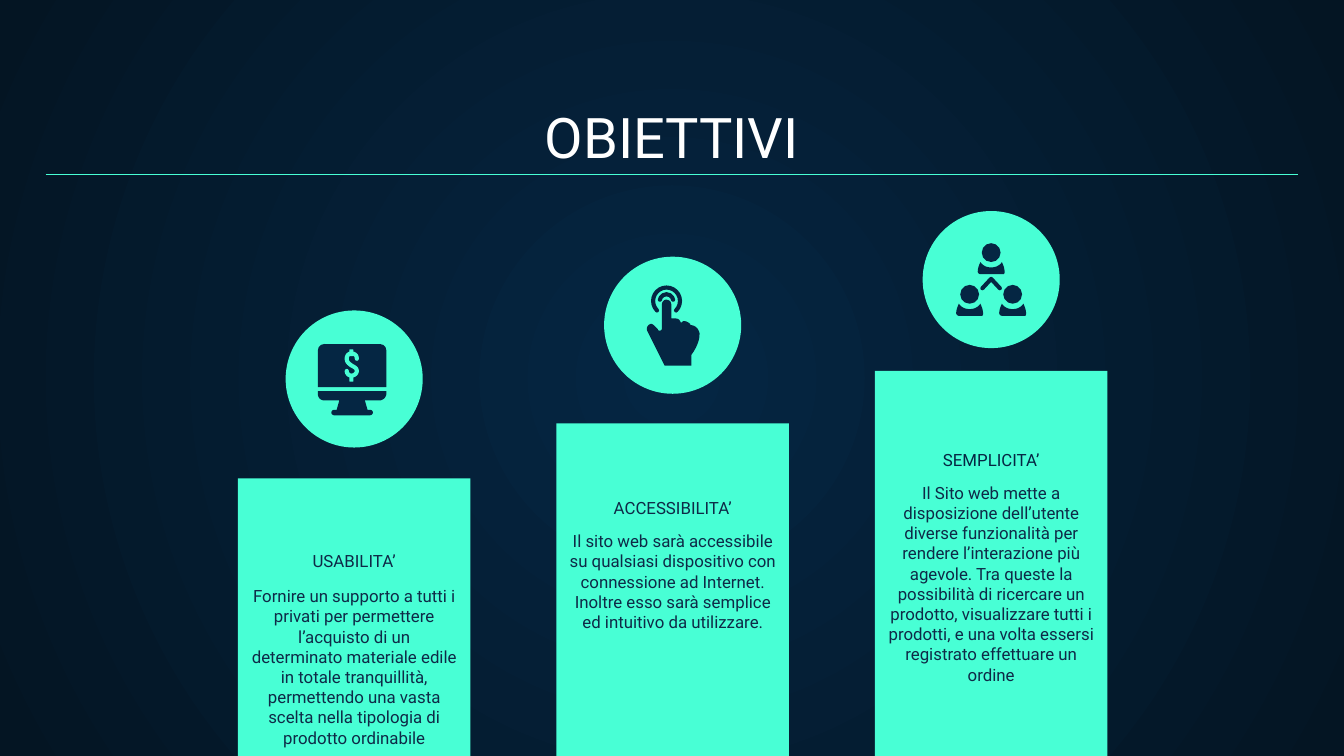
from dataclasses import dataclass

from lxml.etree import SubElement
from pptx import Presentation
from pptx.dml.color import RGBColor
from pptx.enum.shapes import MSO_CONNECTOR, MSO_SHAPE as Preset
from pptx.enum.text import MSO_ANCHOR as Anchor, MSO_AUTO_SIZE, PP_ALIGN
from pptx.oxml.ns import qn
from pptx.util import Inches, Pt

MINT = RGBColor(0x48, 0xFF, 0xD5)
NAVY = RGBColor(0x05, 0x26, 0x43)
MIDNIGHT = RGBColor(0x04, 0x15, 0x23)
INK = RGBColor(0x0E, 0x2A, 0x47)
WHITE = RGBColor(0xFF, 0xFF, 0xFF)

SLIDE_WIDTH = Inches(10)
SLIDE_HEIGHT = SLIDE_WIDTH * 9 // 16
ROWS = 562.5
FIRST_COLUMN, COLUMN_STEP, COLUMN_WIDTH = 177, 237, 173
BADGE_SIZE = 102
STROKE = 2.2

HAND = [
    (46, 32), (45, 32, 43, 33, 43, 36), (43, 53), (43, 55, 42, 55, 41, 55),
    (41, 55, 40, 55, 40, 54), (38, 52), (37, 51, 36, 50, 35, 50),
    (33, 50, 31, 53, 32, 55), (45, 81), (65, 81), (65, 73),
    (70, 66, 71, 61, 71, 57), (70, 52, 66, 51, 65, 51),
    (65, 51, 64, 51, 64, 50), (63, 49, 61, 48, 60, 48),
    (59, 48, 58, 48, 58, 49), (57, 49), (56, 46, 54, 46, 53, 46),
    (50, 46), (50, 36), (50, 33, 48, 32, 46, 32),
]
SHOULDERS = [
    (-1, 14), (-2, 16, -3, 19, -3, 21), (-3, 22, -2, 23, -1, 23), (16, 23),
    (17, 23, 17, 22, 17, 21), (17, 19, 16, 16, 15, 14),
    (13, 17, 10, 18, 7, 18), (4, 18, 1, 17, -1, 14),
]
MONITOR_BASE = [
    (24, 60), (75, 60), (75, 62), (75, 65, 72, 67, 70, 67), (59, 67),
    (61, 74), (38, 74), (40, 67), (29, 67), (26, 67, 24, 65, 24, 62),
]
DOLLAR_CURVE = [
    (53, 36), (53, 33, 51, 32, 49, 32), (47, 32, 45.5, 33.5, 45.5, 36),
    (45.5, 39, 48, 40, 49, 41), (51, 42, 53, 43, 53, 45),
    (53, 47, 51, 48.5, 49, 48.5), (47, 48.5, 45.5, 47, 45.5, 45),
]
CHEVRON = [(44.5, 57.5), (51, 50.5), (57.5, 57.5)]


@dataclass
class Box:
    """An area of the slide divided into columns and rows."""
    left: int
    top: int
    width: int
    height: int
    columns: float
    rows: float

    def point(self, x, y):
        """Return the slide position of a grid point."""
        return (round(self.left + x * self.width / self.columns),
                round(self.top + y * self.height / self.rows))

    def place(self, x, y, width, height):
        """Return left, top, width and height of a grid area."""
        left, top = self.point(x, y)
        right, bottom = self.point(x + width, y + height)
        return left, top, right - left, bottom - top


def paint(shape, fill=None, stroke=None):
    """Give a shape a plain fill or a plain rounded stroke."""
    shape.shadow.inherit = False
    if fill is None:
        shape.fill.background()
        shape.line.color.rgb = stroke
        shape.line.width = Pt(STROKE)
        shape._element.spPr.find(qn("a:ln")).set("cap", "rnd")
    else:
        shape.fill.solid()
        shape.fill.fore_color.rgb = fill
        shape.line.fill.background()
    return shape


def add_preset(slide, box, preset, area, fill=None, stroke=None):
    """Add a painted preset shape on the grid of a box."""
    return paint(slide.shapes.add_shape(preset, *box.place(*area)), fill, stroke)


def flatten(segments, steps=8):
    """Turn lines and cubic curves into a list of points."""
    points = [segments[0]]
    for segment in segments[1:]:
        if len(segment) == 2:
            points.append(segment)
            continue
        start, controls = points[-1], (segment[:2], segment[2:4], segment[4:])
        for step in range(1, steps + 1):
            t = step / steps
            weights = ((1 - t) ** 3, 3 * t * (1 - t) ** 2, 3 * t * t * (1 - t), t ** 3)
            points.append(tuple(
                sum(weight * point[axis] for weight, point in zip(weights, (start, *controls)))
                for axis in (0, 1)))
    return points


def add_outline(slide, box, segments, fill=None, stroke=None, offset=(0, 0)):
    """Add a freeform on the grid of a box."""
    points = [box.point(x + offset[0], y + offset[1]) for x, y in flatten(segments)]
    builder = slide.shapes.build_freeform(*points[0])
    builder.add_line_segments(points[1:], close=fill is not None)
    paint(builder.convert_to_shape(), fill, stroke)


def format_text(shape, text, size, color, anchor):
    """Write one centred paragraph into a shape."""
    frame = shape.text_frame
    frame.text = text
    frame.word_wrap = True
    frame.auto_size = MSO_AUTO_SIZE.NONE
    frame.vertical_anchor = anchor
    frame.margin_left = frame.margin_right = Inches(0.1)
    frame.margin_top = frame.margin_bottom = Inches(0.1)
    paragraph = frame.paragraphs[0]
    paragraph.alignment = PP_ALIGN.CENTER
    paragraph.font.name = "Roboto"
    paragraph.font.size = Pt(size)
    paragraph.font.color.rgb = color


def set_background(slide):
    """Fill the background with a radial gradient."""
    fill = slide.background.fill
    fill.gradient()
    for stop, color, position in zip(fill.gradient_stops, (NAVY, MIDNIGHT), (0, 1)):
        stop.color.rgb = color
        stop.position = position
    gradient = slide._element.find(".//" + qn("a:gradFill"))
    gradient.remove(gradient.find(qn("a:lin")))
    radial = SubElement(gradient, qn("a:path"), {"path": "circle"})
    SubElement(radial, qn("a:fillToRect"), {side: "50000" for side in "ltrb"})


def add_header(slide, box):
    """Place the title and the rule beneath it."""
    title = slide.shapes.title
    title.left, title.top, title.width, title.height = box.place(34, 70, 932, 66)
    format_text(title, "OBIETTIVI", 30, WHITE, Anchor.BOTTOM)
    rule = slide.shapes.add_connector(
        MSO_CONNECTOR.STRAIGHT, *box.point(34, 130), *box.point(966, 130))
    rule.line.color.rgb = MINT
    rule.line.width = Pt(0.75)
    SubElement(rule._element.spPr, qn("a:effectLst"))


def draw_monitor(slide, box):
    """Draw a monitor showing a dollar sign."""
    screen = add_preset(slide, box, Preset.ROUND_2_SAME_RECTANGLE, (24, 25, 51, 32), NAVY)
    screen.adjustments[0] = 0.15
    add_outline(slide, box, MONITOR_BASE, NAVY)
    add_preset(slide, box, Preset.ROUNDED_RECTANGLE, (34, 74, 31, 4), NAVY).adjustments[0] = 0.5
    add_outline(slide, box, DOLLAR_CURVE, stroke=MINT)
    for top in (29, 48):
        add_preset(slide, box, Preset.ROUNDED_RECTANGLE, (47.5, top, 3, 5), MINT)


def draw_touch(slide, box):
    """Draw a pointing hand with two touch arcs."""
    for radius, start, end in ((10, 135, 45), (5, 190, 350)):
        area = (46.5 - radius, 33 - radius, 2 * radius, 2 * radius)
        arc = add_preset(slide, box, Preset.ARC, area, stroke=NAVY)
        arc.adjustments[0], arc.adjustments[1] = start * 0.6, end * 0.6
    add_outline(slide, box, HAND, NAVY)


def draw_people(slide, box):
    """Draw three linked people."""
    for left, top in ((44, 24), (60, 55), (28, 55)):
        add_preset(slide, box, Preset.OVAL, (left, top, 14, 14), NAVY)
        add_outline(slide, box, SHOULDERS, NAVY, offset=(left, top))
    add_outline(slide, box, CHEVRON, stroke=NAVY)


def add_goal(slide, box, index, goal):
    """Place one column with its badge, heading and description."""
    badge_top, bar_top, heading_top, body_top, draw_icon, color, heading, body = goal
    left = FIRST_COLUMN + index * COLUMN_STEP
    center = left + COLUMN_WIDTH / 2
    add_preset(slide, box, Preset.RECTANGLE, (left, bar_top, COLUMN_WIDTH, ROWS - bar_top), MINT)
    badge = (center - BADGE_SIZE / 2, badge_top, BADGE_SIZE, BADGE_SIZE)
    add_preset(slide, box, Preset.OVAL, badge, MINT)
    draw_icon(slide, Box(*box.place(*badge), BADGE_SIZE, BADGE_SIZE))
    for area, text, text_color, anchor in (
            ((left, body_top, COLUMN_WIDTH, 57), body, INK, Anchor.TOP),
            ((center - 113.5, heading_top, 227, 21), heading, color, Anchor.BOTTOM)):
        text_box = slide.shapes.add_textbox(*box.place(*area))
        format_text(text_box, text, 9, text_color, anchor)


GOALS = [
    (231, 356, 414, 426, draw_monitor, INK, "USABILITA’",
     "Fornire un supporto a tutti i privati per permettere l’acquisto di un determinato materiale "
     "edile in totale tranquillità, permettendo una vasta scelta nella tipologia di prodotto ordinabile"),
    (191, 315, 374, 385, draw_touch, INK, "ACCESSIBILITA’",
     "Il sito web sarà accessibile su qualsiasi dispositivo con connessione ad Internet. "
     "Inoltre esso sarà semplice ed intuitivo da utilizzare."),
    (157, 276, 339, 349, draw_people, NAVY, "SEMPLICITA’",
     "Il Sito web mette a disposizione dell’utente diverse funzionalità per rendere l’interazione più "
     "agevole. Tra queste la possibilità di ricercare un prodotto, visualizzare tutti i prodotti, "
     "e una volta essersi registrato effettuare un ordine"),
]


def main():
    """Build the slide and save it."""
    presentation = Presentation()
    presentation.slide_width, presentation.slide_height = SLIDE_WIDTH, SLIDE_HEIGHT
    slide = presentation.slides.add_slide(presentation.slide_layouts[5])
    box = Box(0, 0, SLIDE_WIDTH, SLIDE_HEIGHT, 1000, ROWS)
    set_background(slide)
    add_header(slide, box)
    for index, goal in enumerate(GOALS):
        add_goal(slide, box, index, goal)
    presentation.save("out.pptx")


if __name__ == "__main__":
    main()
